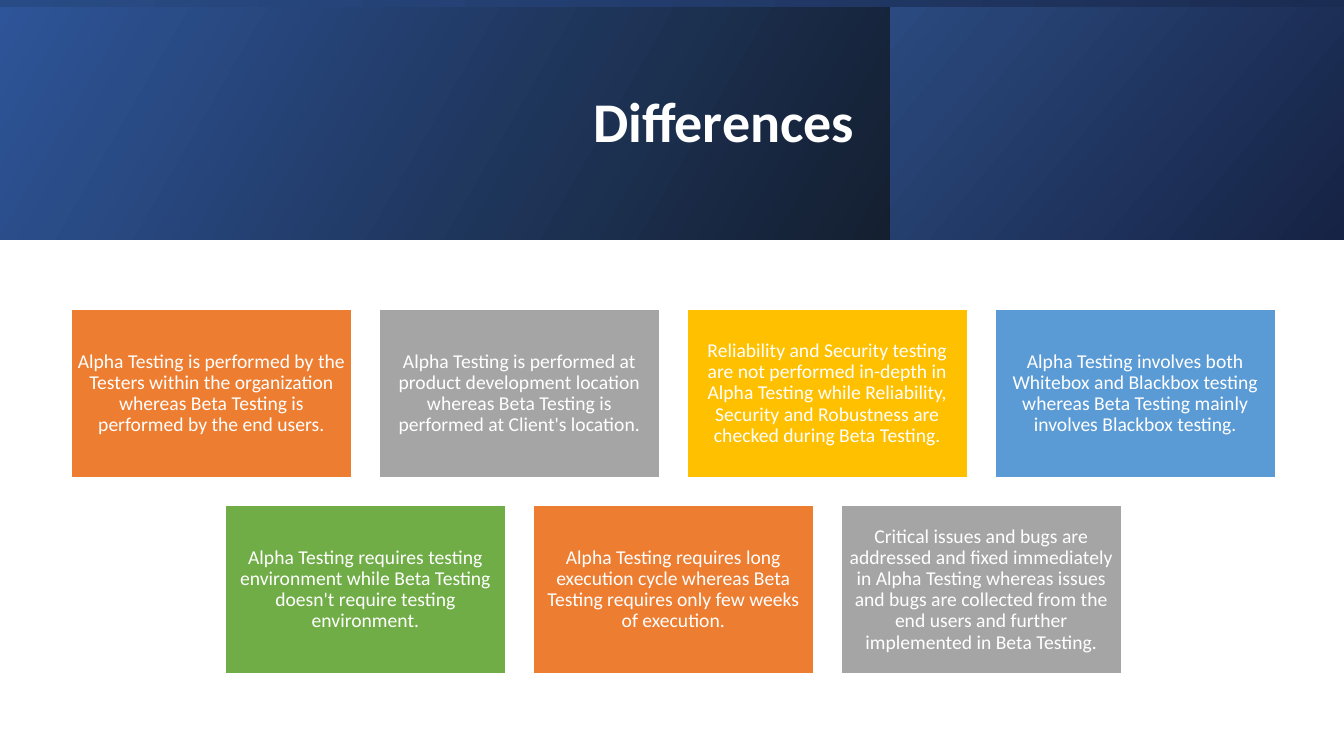
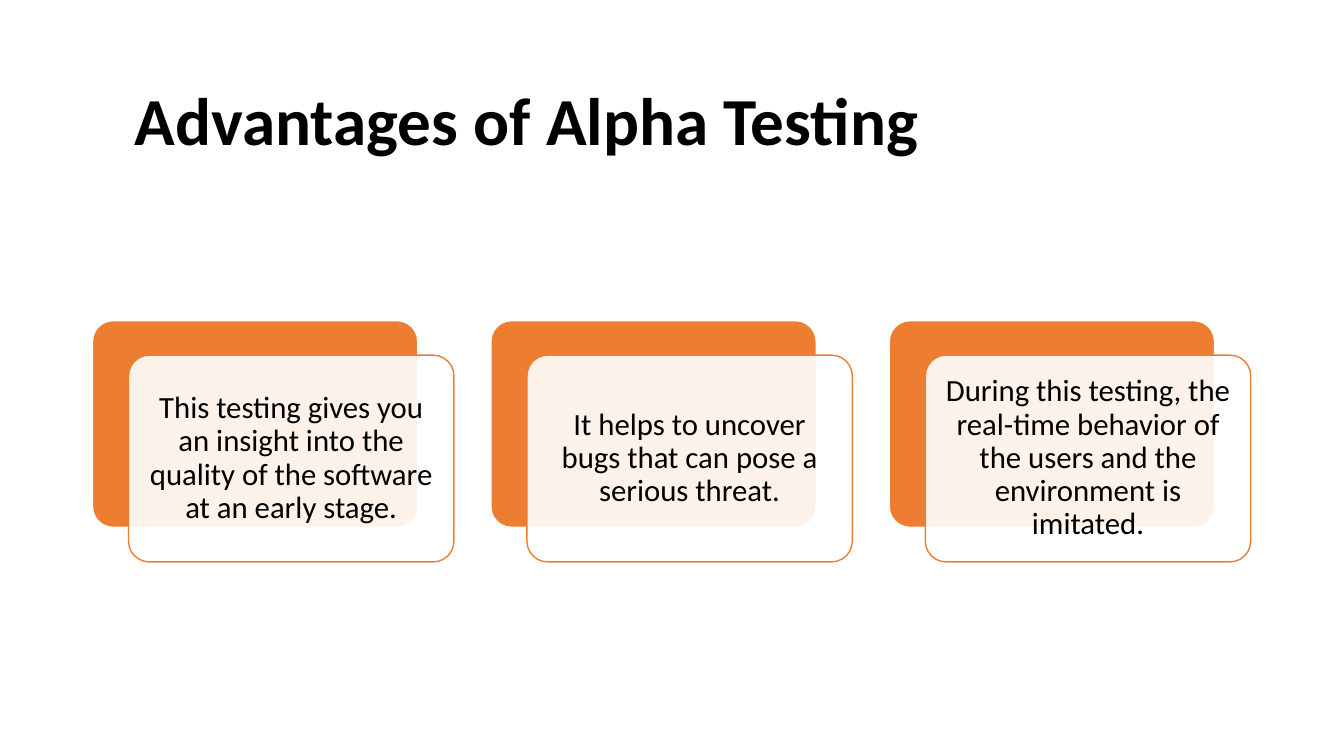
"""Build two slides that compare alpha and beta testing."""
import dataclasses

import lxml.etree
import pptx
import pptx.dml.color
import pptx.enum.shapes
import pptx.enum.text
import pptx.oxml.ns
import pptx.util

Cm = pptx.util.Cm
SHAPES = pptx.enum.shapes.MSO_SHAPE
ALIGN = pptx.enum.text.PP_ALIGN


@dataclasses.dataclass(frozen=True)
class Theme:
    """Colours, font and type sizes shared by the slides."""

    font: str = "Calibri"
    white: str = "FFFFFF"
    black: str = "000000"
    orange: str = "ED7D31"
    tiles: tuple = ("ED7D31", "A5A5A5", "FFC000", "5B9BD5", "70AD47")
    band_main: tuple = ("2E5599", "141F30")
    band_side: tuple = ("2B4A80", "162344")
    band_edge: tuple = ("294B85", "1B2C52")
    banner_title_size: int = 40
    title_size: int = 48
    tile_size: int = 14
    card_size: int = 22
    line_spacing: float = 0.9


@dataclasses.dataclass(frozen=True)
class Box:
    """A rectangle in centimetres."""

    left: float
    top: float
    width: float
    height: float

    def lengths(self):
        """Return the four values as lengths."""
        return [Cm(value) for value in (self.left, self.top, self.width, self.height)]


THEME = Theme()
SLIDE = Box(0, 0, 33.87, 19.05)
DIFFERENCES = (
    "Alpha Testing is performed by the Testers within the\u00a0organization whereas Beta "
    "Testing is performed by the end users.",
    "Alpha Testing is performed at product development location whereas Beta Testing is "
    "performed at Client's location.",
    "Reliability and Security testing are not performed in-depth in Alpha Testing while "
    "Reliability, Security and Robustness are checked during Beta Testing.",
    "Alpha Testing involves both Whitebox and Blackbox testing whereas Beta Testing mainly "
    "involves Blackbox testing.",
    "Alpha Testing requires testing environment while Beta Testing doesn't require testing "
    "environment.",
    "Alpha Testing requires long execution cycle whereas Beta Testing requires only few weeks "
    "of execution.",
    "Critical issues and bugs are addressed and fixed immediately in Alpha Testing whereas "
    "issues and bugs are collected from the end users and further implemented in Beta Testing.",
)
ADVANTAGES = (
    "This testing gives you an insight into the quality of the software at an early stage.",
    "It helps to uncover bugs that can pose a serious threat.",
    "During this testing, the real-time behavior of the users and the environment is imitated.",
)


def rgb(color):
    """Return a colour object for a hexadecimal value."""
    return pptx.dml.color.RGBColor.from_string(color)


def write_text(shape, text, size, color, align=ALIGN.CENTER, bold=False, inset=0.25):
    """Put one vertically centred paragraph into a shape."""
    frame = shape.text_frame
    frame.word_wrap = True
    frame.vertical_anchor = pptx.enum.text.MSO_ANCHOR.MIDDLE
    frame.margin_left = frame.margin_right = Cm(inset)
    frame.margin_top = frame.margin_bottom = Cm(inset)
    paragraph = frame.paragraphs[0]
    paragraph.text = text
    paragraph.alignment = align
    paragraph.line_spacing = THEME.line_spacing
    paragraph.font.name = THEME.font
    paragraph.font.size = pptx.util.Pt(size)
    paragraph.font.bold = bold
    paragraph.font.color.rgb = rgb(color)


def add_panel(slide, box, fill, line, kind=SHAPES.RECTANGLE):
    """Add a solid outlined shape without a shadow."""
    shape = slide.shapes.add_shape(kind, *box.lengths())
    shape.shadow.inherit = False
    shape.fill.solid()
    shape.fill.fore_color.rgb = rgb(fill)
    shape.line.color.rgb = rgb(line)
    shape.line.width = pptx.util.Pt(1)
    if kind == SHAPES.ROUNDED_RECTANGLE:
        shape.adjustments[0] = 0.1
    return shape


def set_opacity(shape, percent):
    """Make the solid fill of a shape partly transparent."""
    color = shape.fill._xPr.find(".//" + pptx.oxml.ns.qn("a:srgbClr"))
    alpha = lxml.etree.SubElement(color, pptx.oxml.ns.qn("a:alpha"))
    alpha.set("val", str(percent * 1000))


def add_gradient(slide, box, colors, angle):
    """Add a borderless rectangle with a two-colour gradient."""
    shape = slide.shapes.add_shape(SHAPES.RECTANGLE, *box.lengths())
    shape.shadow.inherit = False
    shape.line.fill.background()
    shape.fill.gradient()
    shape.fill.gradient_angle = angle
    for stop, color in zip(shape.fill.gradient_stops, colors):
        stop.color.rgb = rgb(color)


def add_banner(slide, box):
    """Draw the two gradient panels and the thin edge above them."""
    main_width = 22.43
    side_left = box.left + main_width
    add_gradient(slide, Box(box.left, box.top, main_width, box.height), THEME.band_main, 330)
    add_gradient(slide, Box(side_left, box.top, box.width - main_width, box.height),
                 THEME.band_side, 320)
    add_gradient(slide, Box(box.left, box.top, box.width, 0.18), THEME.band_edge, 0)


def add_title(slide, left, text, size, color):
    """Add a bold title that starts at the given distance from the left."""
    box = Box(left, 1.55, SLIDE.width - left - 2.3, 3.15)
    title = slide.shapes.add_textbox(*box.lengths())
    write_text(title, text, size, color, ALIGN.LEFT, bold=True)


def add_tiles(slide, box, texts, columns=4, gap=0.7):
    """Lay out coloured tiles in rows, each row centred in the box."""
    rows = [texts[start:start + columns] for start in range(0, len(texts), columns)]
    width = (box.width - (columns - 1) * gap) / columns
    height = (box.height - (len(rows) - 1) * gap) / len(rows)
    for row, row_texts in enumerate(rows):
        indent = (columns - len(row_texts)) * (width + gap) / 2
        for column, text in enumerate(row_texts):
            place = Box(box.left + indent + column * (width + gap),
                        box.top + row * (height + gap), width, height)
            fill = THEME.tiles[(row * columns + column) % len(THEME.tiles)]
            tile = add_panel(slide, place, fill, THEME.white)
            write_text(tile, text, THEME.tile_size, THEME.white, inset=0.15)


def add_card(slide, box, text):
    """Draw a translucent text card overlapping an orange backing."""
    shift_right, shift_down = 0.91, 0.87
    width, height = box.width - shift_right, box.height - shift_down
    rounded = SHAPES.ROUNDED_RECTANGLE
    add_panel(slide, Box(box.left, box.top, width, height), THEME.orange, THEME.white, rounded)
    front = Box(box.left + shift_right, box.top + shift_down, width, height)
    card = add_panel(slide, front, THEME.white, THEME.orange, rounded)
    set_opacity(card, 90)
    write_text(card, text, THEME.card_size, THEME.black, inset=0.23)


def add_cards(slide, box, texts, gap=0.93):
    """Lay out equal cards side by side in the box."""
    width = (box.width - (len(texts) - 1) * gap) / len(texts)
    for index, text in enumerate(texts):
        add_card(slide, Box(box.left + index * (width + gap), box.top, width, box.height), text)


def build_differences(slide):
    """Fill the slide on the differences."""
    add_banner(slide, Box(0, 0, SLIDE.width, 6.03))
    add_title(slide, 14.7, "Differences", THEME.banner_title_size, THEME.white)
    add_tiles(slide, Box(1.8, 7.8, 30.34, 9.18), DIFFERENCES)


def build_advantages(slide):
    """Fill the slide on the advantages."""
    add_title(slide, 3.15, "Advantages of Alpha Testing", THEME.title_size, THEME.black)
    add_cards(slide, Box(2.33, 8.08, 29.19, 6.08), ADVANTAGES)


def main():
    """Build and save the presentation."""
    presentation = pptx.Presentation()
    presentation.slide_width = Cm(SLIDE.width)
    presentation.slide_height = Cm(SLIDE.height)
    for build in (build_differences, build_advantages):
        build(presentation.slides.add_slide(presentation.slide_layouts[6]))
    presentation.save("out.pptx")


if __name__ == "__main__":
    main()
